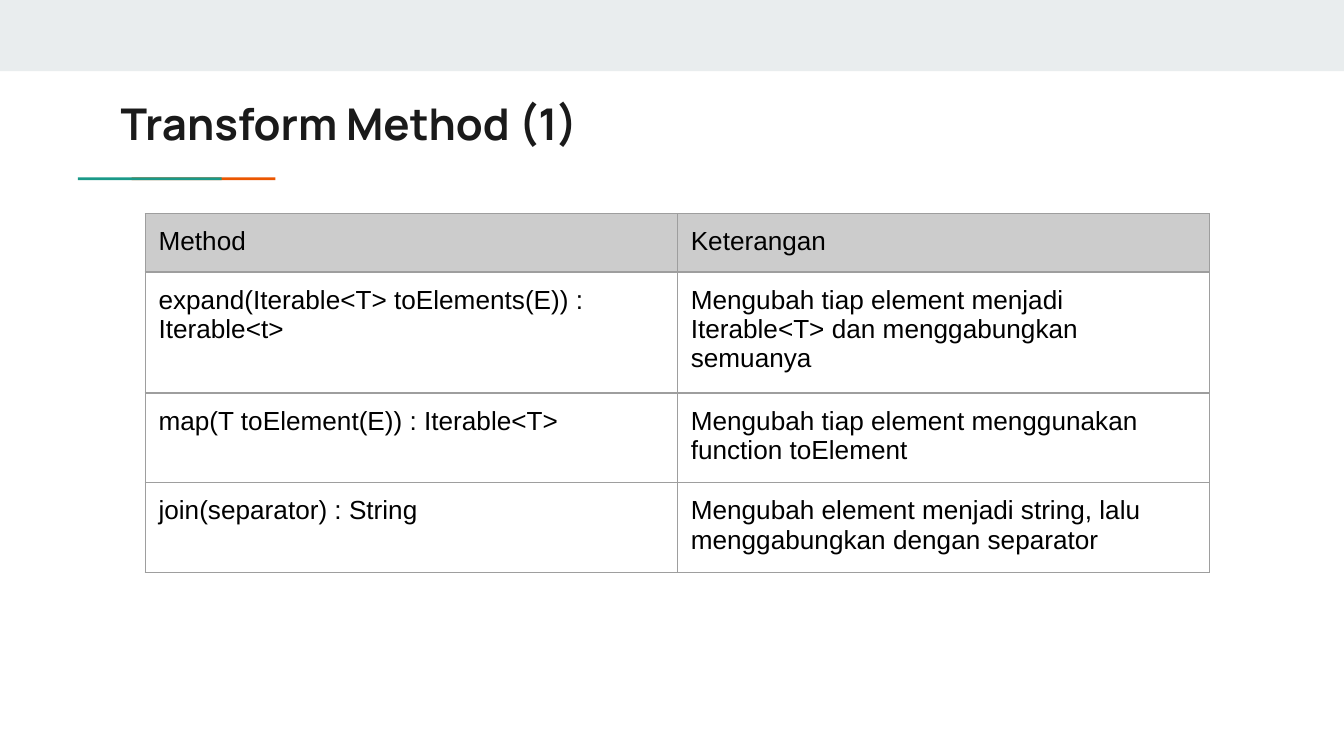
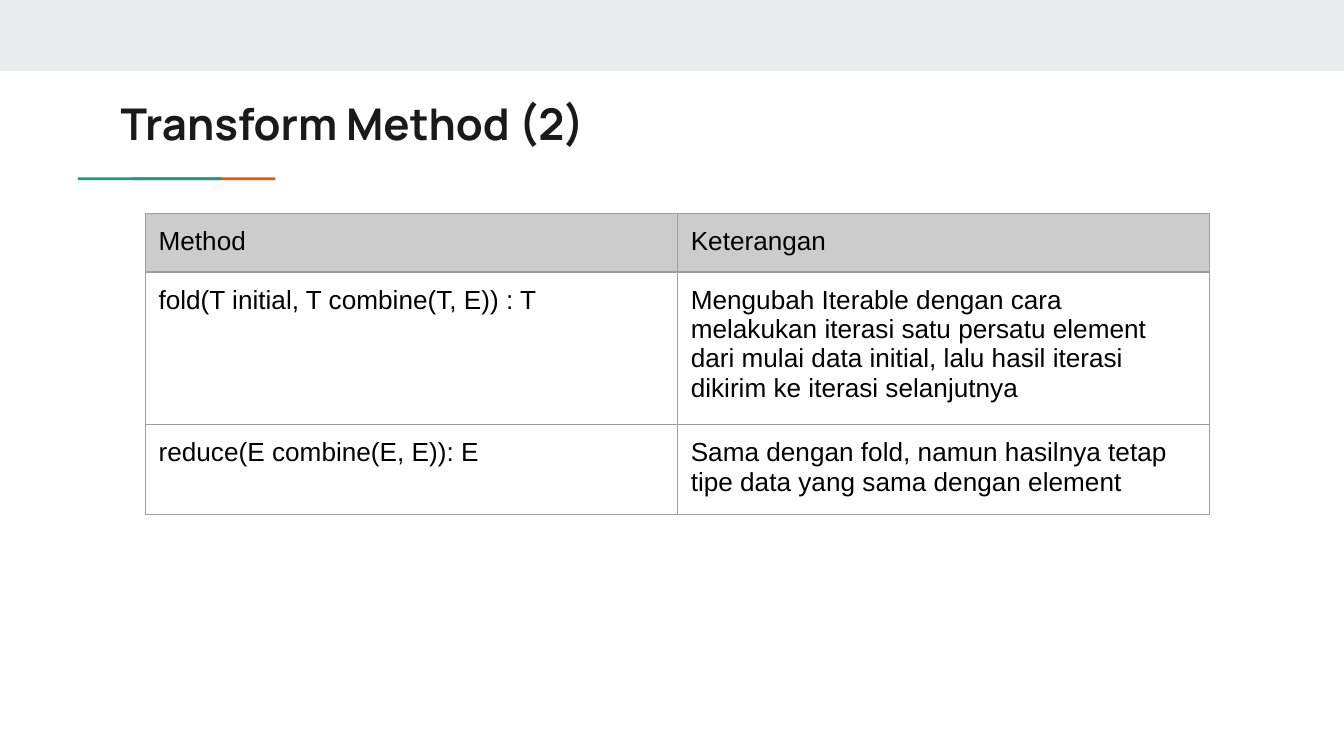
from lxml import etree
from pptx import Presentation
from pptx import util as u
from pptx.dml.color import RGBColor
from pptx.enum import shapes, text
from pptx.oxml.ns import qn

COLORS = {
    "band": "E9EDEE",
    "teal": "1A9988",
    "orange": "EB5600",
    "title": "1A1A1A",
    "body": "000000",
    "header": "CCCCCC",
    "border": "9E9E9E",
}
HEADINGS = ("Method", "Keterangan")
TABLES = {
    "Transform Method (1)": [
        ("expand(Iterable<T> toElements(E)) : Iterable<t>",
         "Mengubah tiap element menjadi Iterable<T> dan menggabungkan semuanya"),
        ("map(T toElement(E)) : Iterable<T>",
         "Mengubah tiap element menggunakan function toElement"),
        ("join(separator) : String",
         "Mengubah element menjadi string, lalu menggabungkan dengan separator"),
    ],
    "Transform Method (2)": [
        ("fold(T initial, T combine(T, E)) : T",
         "Mengubah Iterable dengan cara melakukan iterasi satu persatu element "
         "dari mulai data initial, lalu hasil iterasi dikirim ke iterasi selanjutnya"),
        ("reduce(E combine(E, E)): E",
         "Sama dengan fold, namun hasilnya tetap tipe data yang sama dengan element"),
    ],
}


class SlideBuilder:
    MARGIN = u.Inches(0.1)
    COLUMN_WIDTH = u.Inches(3.96)
    ROW_HEIGHT = u.Inches(0.42)
    FRAME_SIZE = u.Inches(3.28)

    def __init__(self):
        self.deck = Presentation()
        self.deck.slide_width = u.Inches(10)
        self.deck.slide_height = u.Inches(10) * 9 // 16
        self.slide = None

    def color(self, name):
        return RGBColor.from_string(COLORS[name])

    def start_slide(self, title):
        self.slide = self.deck.slides.add_slide(self.deck.slide_layouts[6])
        self.bar(0, 0, 10, 0.53, "band")
        # The teal bar overlaps the orange one.
        self.bar(0.98, 1.32, 1.07, 0.02, "orange")
        self.bar(0.58, 1.32, 1.07, 0.02, "teal")
        self.title(title)

    def bar(self, left, top, width, height, color):
        shape = self.slide.shapes.add_shape(
            shapes.MSO_SHAPE.RECTANGLE,
            *(u.Inches(length) for length in (left, top, width, height)))
        shape.shadow.inherit = False
        shape.fill.solid()
        shape.fill.fore_color.rgb = self.color(color)
        shape.line.fill.background()

    def set_margins(self, holder):
        holder.margin_left = holder.margin_right = self.MARGIN
        holder.margin_top = holder.margin_bottom = self.MARGIN

    def span(self, para, words, font, size, color, bold=False):
        span = para.add_run()
        span.text = words
        span.font.name = font
        span.font.size = u.Pt(size)
        span.font.bold = bold
        span.font.color.rgb = self.color(color)
        for script in ("ea", "cs"):
            etree.SubElement(span.font._element, qn(f"a:{script}"), typeface=font)

    def title(self, words):
        box = self.slide.shapes.add_textbox(
            u.Inches(0.8), u.Inches(0.62), u.Inches(8.41), u.Inches(0.59))
        frame = box.text_frame
        frame.word_wrap = True
        frame.vertical_anchor = text.MSO_ANCHOR.MIDDLE
        self.set_margins(frame)
        self.span(frame.paragraphs[0], words, "Manrope", 23.4, "title", bold=True)

    def table(self, rows):
        frame = self.slide.shapes.add_table(
            len(rows), len(rows[0]), u.Inches(1.08), u.Inches(1.59),
            self.COLUMN_WIDTH * len(rows[0]), self.ROW_HEIGHT * len(rows))
        table = frame.table
        table.first_row = table.horz_banding = False
        properties = table._tbl.tblPr
        properties.remove(properties.find(qn("a:tableStyleId")))
        for column in table.columns:
            column.width = self.COLUMN_WIDTH
        for row_index, row in enumerate(rows):
            table.rows[row_index].height = self.ROW_HEIGHT
            for column_index, words in enumerate(row):
                self.cell(table.cell(row_index, column_index), words, row_index == 0)
        frame.width = frame.height = self.FRAME_SIZE

    def cell(self, cell, words, is_header):
        self.set_margins(cell)
        self.borders(cell)
        if is_header:
            cell.fill.solid()
            cell.fill.fore_color.rgb = self.color("header")
        else:
            cell.fill.background()
        para = cell.text_frame.paragraphs[0]
        self.span(para, words, "Arial", 14, "body")
        ending = etree.SubElement(para._p, qn("a:endParaRPr"), sz="1400")
        etree.SubElement(ending, qn("a:latin"), typeface="Arial")

    def borders(self, cell):
        properties = cell._tc.get_or_add_tcPr()
        for side in ("lnL", "lnR", "lnT", "lnB"):
            line = etree.SubElement(properties, qn(f"a:{side}"), w=str(u.Pt(0.75)))
            fill = etree.SubElement(line, qn("a:solidFill"))
            etree.SubElement(fill, qn("a:srgbClr"), val=COLORS["border"])


def main():
    builder = SlideBuilder()
    for title, methods in TABLES.items():
        builder.start_slide(title)
        builder.table([HEADINGS, *methods])
    builder.deck.save("out.pptx")


if __name__ == "__main__":
    main()
